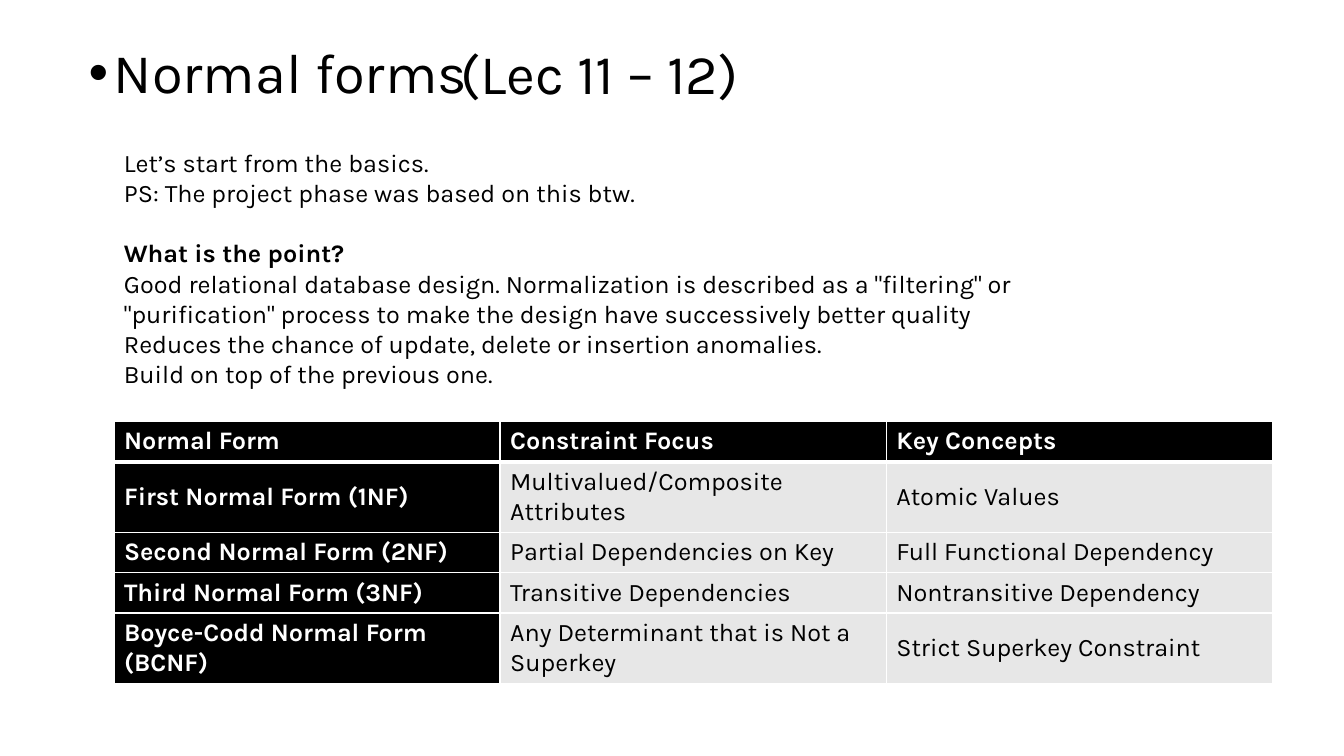
from dataclasses import dataclass

import pptx
import pptx.dml.color
import pptx.enum.text
import pptx.oxml
import pptx.oxml.ns
import pptx.util

Inches = pptx.util.Inches
Pt = pptx.util.Pt
BLACK = pptx.dml.color.RGBColor(0x00, 0x00, 0x00)
WHITE = pptx.dml.color.RGBColor(0xFF, 0xFF, 0xFF)
GRAY = pptx.dml.color.RGBColor(0xE7, 0xE7, 0xE7)
LEFT = pptx.enum.text.PP_ALIGN.LEFT
TOP = pptx.enum.text.MSO_ANCHOR.TOP
MIDDLE = pptx.enum.text.MSO_ANCHOR.MIDDLE
GROW = pptx.enum.text.MSO_AUTO_SIZE.SHAPE_TO_FIT_TEXT
FIXED = pptx.enum.text.MSO_AUTO_SIZE.NONE


@dataclass
class Line:
    text: str
    size: float = 18
    bold: bool = False
    color: pptx.dml.color.RGBColor = BLACK
    gap: float = 0


@dataclass
class Box:
    left: float
    top: float
    width: float
    height: float
    lines: list[Line]


HEAD = Box(0.78, 0.4, 7.85, 1.01, [Line("Normal forms", 40)])
BOXES = [
    Box(1.13, 1.41, 10.29, 2.52, [
        Line("Let’s start from the basics.\nPS: The project phase was based on this btw."),
        Line("What is the point?", bold=True, gap=21.6),
        Line('Good relational database design. Normalization is described as a "filtering" or '
             '"purification" process to make the design have successively better quality'),
        Line("Reduces the chance of update, delete or insertion anomalies."),
        Line("Build on top of the previous one."),
    ]),
    Box(4.47, 0.33, 6.67, 0.77, [Line("(Lec 11 – 12)", 40)]),
]
ROWS = [
    ("Normal Form", "Constraint Focus", "Key Concepts"),
    ("First Normal Form (1NF)", "Multivalued/Composite Attributes", "Atomic Values"),
    ("Second Normal Form (2NF)", "Partial Dependencies on Key", "Full Functional Dependency"),
    ("Third Normal Form (3NF)", "Transitive Dependencies", "Nontransitive Dependency"),
    ("Boyce-Codd Normal Form (BCNF)", "Any Determinant that is Not a Superkey",
     "Strict Superkey Constraint"),
]
HEIGHTS = [0.4, 0.7, 0.4, 0.4, 0.7]


def apply(target: object, looks: dict) -> None:
    for name, value in looks.items():
        setattr(target, name, value)


def write(frame: pptx.text.text.TextFrame, lines: list[Line]) -> None:
    for index, line in enumerate(lines):
        para = frame.add_paragraph() if index else frame.paragraphs[0]
        para.text = line.text
        apply(para, {"alignment": LEFT, "space_before": Pt(line.gap)})
        for run in para.runs:
            apply(run.font, {"name": "Karla", "size": Pt(line.size), "bold": line.bold})
            run.font.color.rgb = line.color


def place(shape: pptx.shapes.base.BaseShape, box: Box) -> None:
    apply(shape, {name: Inches(getattr(box, name))
                  for name in ("left", "top", "width", "height")})


def add_head(slide: pptx.slide.Slide, box: Box) -> None:
    title = slide.shapes.title
    place(title, box)
    frame = title.text_frame
    apply(frame, {"word_wrap": True, "vertical_anchor": TOP, "auto_size": FIXED})
    write(frame, box.lines)
    para = frame.paragraphs[0]
    para.line_spacing = 0.9
    props = para._p.get_or_add_pPr()
    props.set("marL", str(Inches(0.25)))
    props.set("indent", str(-Inches(0.25)))
    space = pptx.oxml.ns.nsdecls("a")
    props.append(pptx.oxml.parse_xml(f'<a:buFont {space} typeface="Arial"/>'))
    props.append(pptx.oxml.parse_xml(f'<a:buChar {space} char="•"/>'))


def add_box(slide: pptx.slide.Slide, box: Box) -> None:
    shape = slide.shapes.add_textbox(0, 0, 0, 0)
    place(shape, box)
    apply(shape.text_frame, {"word_wrap": True, "auto_size": GROW})
    write(shape.text_frame, box.lines)


def edge(cell: pptx.table._Cell, widths: dict[str, float]) -> None:
    props = cell._tc.get_or_add_tcPr()
    for index, (side, width) in enumerate(widths.items()):
        props.insert(index, pptx.oxml.parse_xml(
            f'<a:ln{side} {pptx.oxml.ns.nsdecls("a")} w="{Pt(width)}">'
            f'<a:solidFill><a:srgbClr val="{WHITE}"/></a:solidFill></a:ln{side}>'))


def add_grid(slide: pptx.slide.Slide) -> None:
    table = slide.shapes.add_table(
        len(ROWS), len(ROWS[0]), Inches(1.13), Inches(4.18),
        Inches(11.49), Inches(sum(HEIGHTS))).table
    apply(table, {"first_col": True, "horz_banding": False})
    for r, texts in enumerate(ROWS):
        table.rows[r].height = Inches(HEIGHTS[r])
        for c, text in enumerate(texts):
            cell = table.cell(r, c)
            dark = r == 0 or c == 0
            cell.vertical_anchor = MIDDLE
            cell.fill.solid()
            cell.fill.fore_color.rgb = BLACK if dark else GRAY
            write(cell.text_frame, [Line(text, bold=dark, color=WHITE if dark else BLACK)])
            edge(cell, {"L": 1, "R": 1, "T": 3 if r == 1 else 1, "B": 3 if r == 0 else 1})


def main() -> None:
    deck = pptx.Presentation()
    apply(deck, {"slide_width": Inches(13.33), "slide_height": Inches(7.5)})
    slide = deck.slides.add_slide(deck.slide_layouts[5])
    add_head(slide, HEAD)
    for box in BOXES:
        add_box(slide, box)
    add_grid(slide)
    deck.save("out.pptx")


if __name__ == "__main__":
    main()
